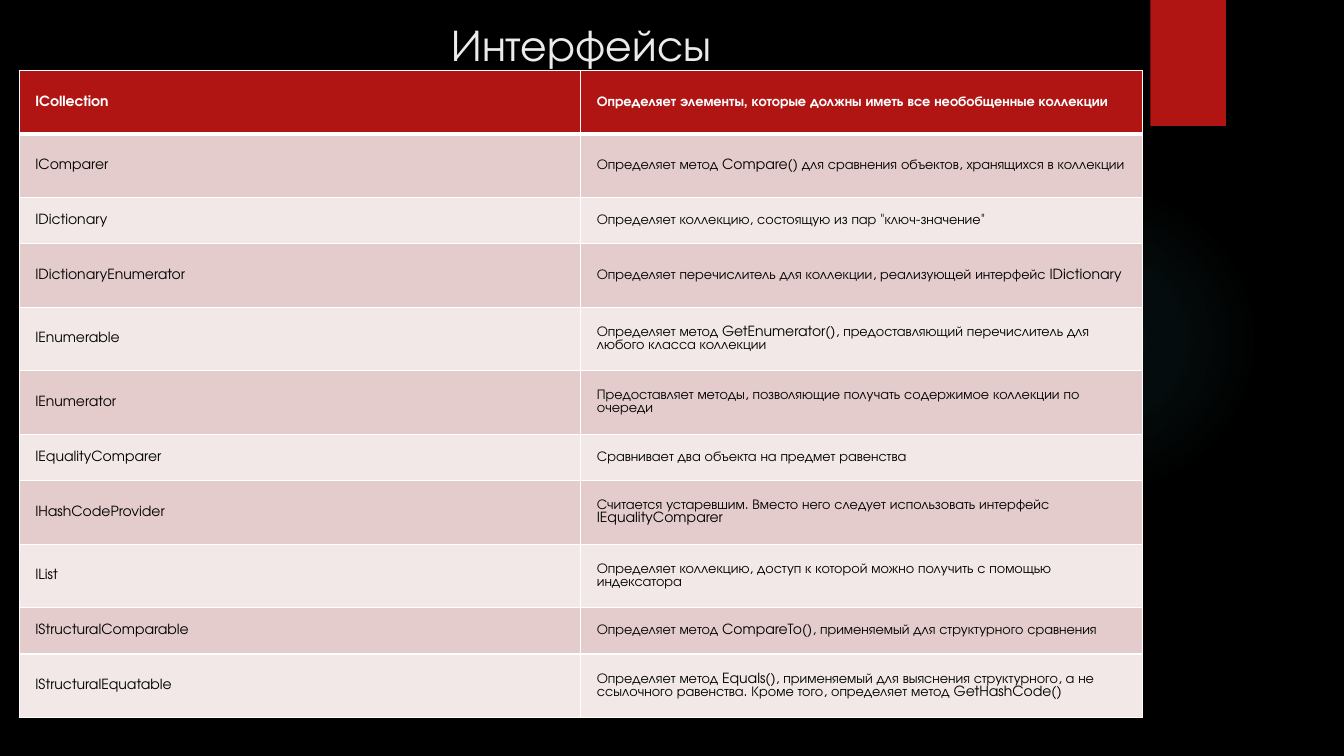
"""Builds a slide with a table of the non-generic collection interfaces."""
from dataclasses import dataclass

from lxml.etree import SubElement
from pptx import Presentation
from pptx.dml.color import RGBColor
from pptx.enum.shapes import MSO_SHAPE
from pptx.enum.text import MSO_ANCHOR, PP_ALIGN
from pptx.oxml import parse_xml
from pptx.oxml.ns import nsdecls, qn
from pptx.util import Inches, Pt


@dataclass(frozen=True)
class Theme:
    font: str = "TeX Gyre Adventor"
    title_size: int = 32
    cell_size: int = 10
    back: str = "000000"
    title: str = "EBEBEB"
    accent: str = "B01513"
    glow: str = "50B9C1"
    light: str = "FFFFFF"
    dark: str = "000000"
    bands: tuple[str, str] = ("F2E8E7", "E4CCCC")


@dataclass(frozen=True)
class Interface:
    name: str
    purpose: str
    height: float = 0.63


@dataclass(frozen=True)
class Box:
    left: float
    top: float
    width: float
    height: float

    def inches(self) -> list[int]:
        return [Inches(v) for v in (self.left, self.top, self.width, self.height)]


THEME = Theme()
SHORT = 0.46
TABLE = Box(0.19, 0.7, 11.14, 6.42)
INTERFACES = [
    Interface("ICollection", "Определяет элементы, которые должны иметь все необобщенные коллекции"),
    Interface("IComparer", "Определяет метод Compare() для сравнения объектов, хранящихся в коллекции"),
    Interface("IDictionary", 'Определяет коллекцию, состоящую из пар "ключ-значение"', SHORT),
    Interface("IDictionaryEnumerator",
              "Определяет перечислитель для коллекции, реализующей интерфейс IDictionary"),
    Interface("IEnumerable",
              "Определяет метод GetEnumerator(), предоставляющий перечислитель для любого класса коллекции"),
    Interface("IEnumerator", "Предоставляет методы, позволяющие получать содержимое коллекции по очереди"),
    Interface("IEqualityComparer", "Сравнивает два объекта на предмет равенства", SHORT),
    Interface("IHashCodeProvider",
              "Считается устаревшим. Вместо него следует использовать интерфейс IEqualityComparer"),
    Interface("IList", "Определяет коллекцию, доступ к которой можно получить с помощью индексатора"),
    Interface("IStructuralComparable",
              "Определяет метод CompareTo(), применяемый для структурного сравнения", SHORT),
    Interface("IStructuralEquatable",
              "Определяет метод Equals(), применяемый для выяснения структурного, а не ссылочного "
              "равенства. Кроме того, определяет метод GetHashCode()"),
]


def rgb(color: str) -> RGBColor:
    return RGBColor.from_string(color)


def format_runs(p, size: int, color: str, bold: bool = False) -> None:
    for r in p.runs:
        r.font.name = THEME.font
        r.font.size = Pt(size)
        r.font.bold = bold
        r.font.color.rgb = rgb(color)


def add_plain_shape(s, kind: MSO_SHAPE, box: Box, color: str):
    sp = s.shapes.add_shape(kind, *box.inches())
    sp.shadow.inherit = False
    sp.fill.solid()
    sp.fill.fore_color.rgb = rgb(color)
    sp.line.fill.background()
    return sp


def add_glow(s) -> None:
    sp = add_plain_shape(s, MSO_SHAPE.OVAL, Box(9.41, 1.83, 3.08, 3.08), THEME.glow)
    stops = "".join(
        f'<a:gs pos="{pos * 1000}"><a:srgbClr val="{THEME.glow}">'
        f'<a:alpha val="{alpha * 1000}"/></a:srgbClr></a:gs>'
        for pos, alpha in ((0, 7), (36, 6), (69, 0), (100, 0))
    )
    grad = parse_xml(
        f'<a:gradFill {nsdecls("a")}><a:gsLst>{stops}</a:gsLst><a:path path="circle">'
        '<a:fillToRect l="50000" t="50000" r="50000" b="50000"/></a:path></a:gradFill>'
    )
    props = sp.element.spPr
    props.replace(props.find(qn("a:solidFill")), grad)


def add_ribbon(s) -> None:
    sp = add_plain_shape(s, MSO_SHAPE.RECTANGLE, Box(11.41, 0, 0.75, 1.25), THEME.accent)
    effects = sp.element.spPr.find(qn("a:effectLst"))
    effects.append(parse_xml(
        f'<a:outerShdw {nsdecls("a")} blurRad="{Pt(3)}" dist="{Pt(2)}" dir="5400000">'
        f'<a:srgbClr val="{THEME.dark}"><a:alpha val="45000"/></a:srgbClr></a:outerShdw>'
    ))


def set_borders(cell, top: int, bottom: int) -> None:
    props = cell._tc.get_or_add_tcPr()
    for i, (side, width) in enumerate((("L", 1), ("R", 1), ("T", top), ("B", bottom))):
        ln = parse_xml(f'<a:ln{side} {nsdecls("a")} w="{Pt(width)}"/>')
        fill = SubElement(ln, qn("a:solidFill"))
        SubElement(fill, qn("a:srgbClr")).set("val", THEME.light)
        props.insert(i, ln)


def fill_cell(cell, text: str, row: int) -> None:
    header = row == 0
    cell.text_frame.text = text
    cell.vertical_anchor = MSO_ANCHOR.MIDDLE
    cell.margin_left = cell.margin_right = Inches(0.16)
    cell.margin_top = cell.margin_bottom = Inches(0.16)
    cell.fill.solid()
    cell.fill.fore_color.rgb = rgb(THEME.accent if header else THEME.bands[row % 2])
    format_runs(cell.text_frame.paragraphs[0], THEME.cell_size,
                THEME.light if header else THEME.dark, header)
    set_borders(cell, 3 if row == 1 else 1, 3 if header else 1)


def add_interface_table(s) -> None:
    table = s.shapes.add_table(len(INTERFACES), 2, *TABLE.inches()).table
    for col in table.columns:
        col.width = Inches(TABLE.width / 2)
    for i, item in enumerate(INTERFACES):
        table.rows[i].height = Inches(item.height)
        for j, text in enumerate((item.name, item.purpose)):
            fill_cell(table.cell(i, j), text, i)


def set_title(s, text: str) -> None:
    sp = s.shapes.title
    sp.left, sp.top, sp.width, sp.height = Box(4.38, 0.09, 3.5, 0.68).inches()
    tf = sp.text_frame
    tf.text = text
    tf.vertical_anchor = MSO_ANCHOR.MIDDLE
    p = tf.paragraphs[0]
    p.alignment = PP_ALIGN.LEFT
    format_runs(p, THEME.title_size, THEME.title)


def main() -> None:
    prs = Presentation()
    prs.slide_width, prs.slide_height = Inches(13.33), Inches(7.5)
    s = prs.slides.add_slide(prs.slide_layouts[5])
    s.background.fill.solid()
    s.background.fill.fore_color.rgb = rgb(THEME.back)
    add_glow(s)
    add_ribbon(s)
    add_interface_table(s)
    set_title(s, "Интерфейсы")
    prs.save("out.pptx")


if __name__ == "__main__":
    main()
